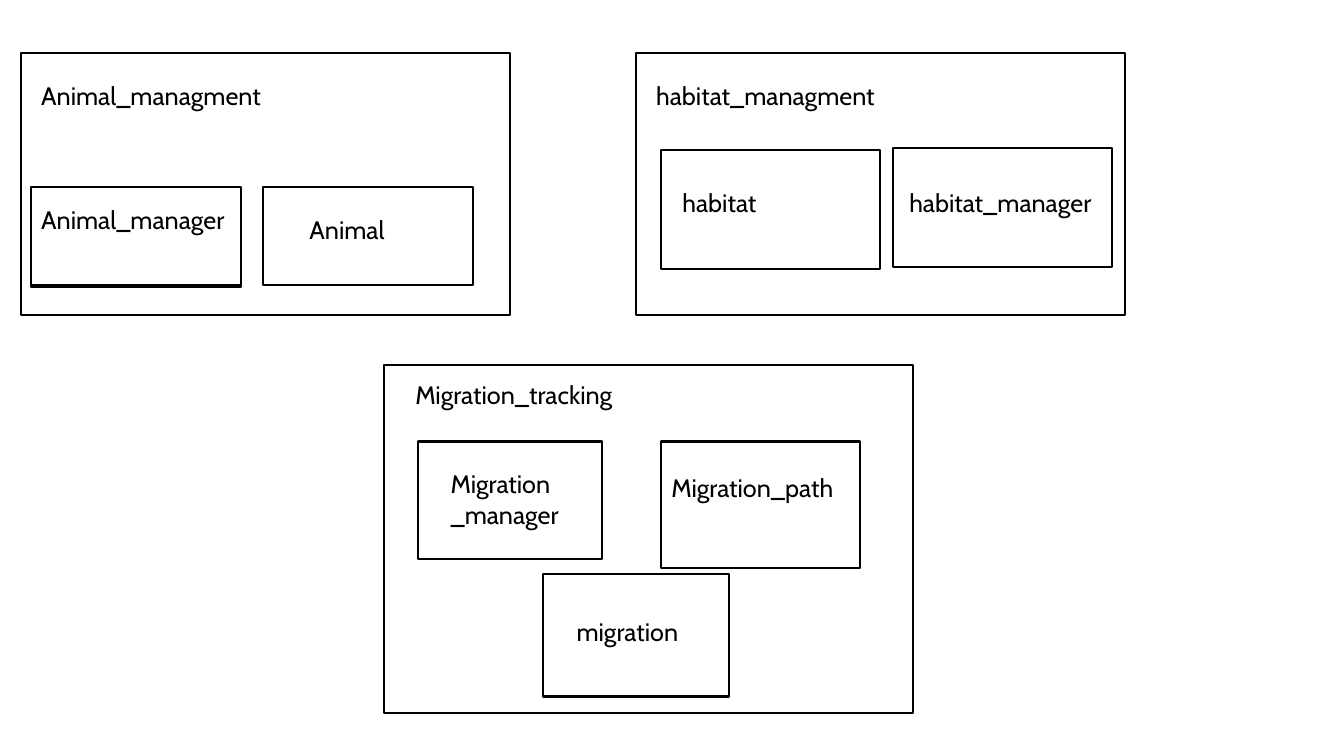
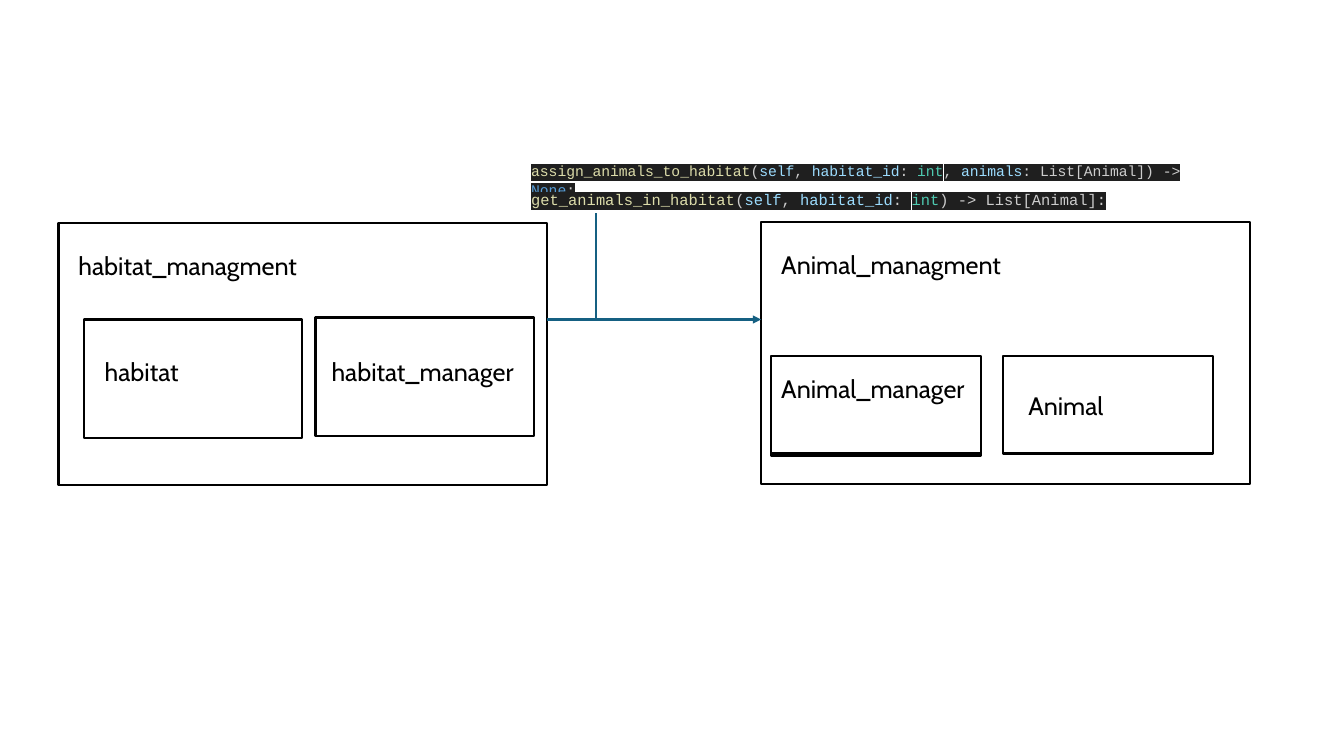
"""Build two slides of module diagrams for an animal tracking system."""
from lxml.etree import SubElement
from pptx import Presentation
from pptx.dml.color import RGBColor
from pptx.enum.shapes import MSO_CONNECTOR, MSO_SHAPE
from pptx.enum.text import MSO_AUTO_SIZE
from pptx.oxml.ns import qn
from pptx.util import Inches, Pt

BLACK, WHITE, BLUE, DARK = "000000", "FFFFFF", "156082", "1F1F1F"
NAME, PLAIN, PARAM, TYPE, CONST = "DCDCAA", "CCCCCC", "9CDCFE", "4EC9B0", "569CD6"
hue = RGBColor.from_string


def add_box(slide, x, y, w, h):
    box = slide.shapes.add_shape(MSO_SHAPE.RECTANGLE, Inches(x), Inches(y), Inches(w), Inches(h))
    box.shadow.inherit = False
    box.fill.solid()
    box.fill.fore_color.rgb = hue(WHITE)
    box.line.color.rgb = hue(BLACK)
    box.line.width = Pt(1.5)


def add_text(slide, x, y, w, h):
    frame = slide.shapes.add_textbox(Inches(x), Inches(y), Inches(w), Inches(h)).text_frame
    frame.word_wrap = True
    frame.auto_size = MSO_AUTO_SIZE.SHAPE_TO_FIT_TEXT
    return frame


animal = {
    "size": (4.85, 2.6),
    "boxes": [(0.1, 1.35, 2.08, 0.97), (2.4, 1.33, 2.08, 0.97), (0.1, 1.33, 2.08, 0.97)],
    "labels": [("Animal_managment", 0.1, 0.22), ("Animal_manager", 0.1, 1.45)],
}
habitat = {
    "size": (4.85, 2.6),
    "boxes": [(0.25, 0.96, 2.17, 1.18), (2.55, 0.94, 2.17, 1.18)],
    "labels": [("habitat_managment", 0.1, 0.22), ("habitat", 0.36, 1.28),
               ("habitat_manager", 2.61, 1.28)],
}
migration = {
    "size": (5.25, 3.45),
    "boxes": [(1.58, 2.07, 1.84, 1.22), (0.34, 0.76, 1.82, 1.17), (2.75, 0.76, 1.97, 1.26)],
    "labels": [("Migration_tracking", 0.21, 0.09), ("migration", 1.81, 2.45),
               ("Migration_path", 2.75, 1.02), ("Migration\n_manager", 0.56, 0.98)],
}
pages = [
    [(animal, 0.21, 0.53, [("Animal", 2.76, 1.55)]), (habitat, 6.31, 0.53, []),
     (migration, 3.81, 3.62, [])],
    [(habitat, 0.58, 2.21, []), (animal, 7.55, 2.2, [("Animal", 2.55, 1.62)])],
]

deck = Presentation()
deck.slide_width, deck.slide_height = Inches(13.33), Inches(7.5)
for page in pages:
    slide = deck.slides.add_slide(deck.slide_layouts[6])
    for module, left, top, extra in page:
        add_box(slide, left, top, *module["size"])
        for x, y, w, h in module["boxes"]:
            add_box(slide, left + x, top + y, w, h)
        for text, x, y in module["labels"] + extra:
            frame = add_text(slide, left + x, top + y, 2.65, 0.4)
            frame.text = text
            for para in frame.paragraphs:
                for run in para.runs:
                    run.font.name = "Cabin"
                    run.font.size = Pt(18)
                    run.font.color.rgb = hue(BLACK)

start = [("(", PLAIN), ("self", PARAM), (", ", PLAIN), ("habitat_id", PARAM),
         (": ", PLAIN), ("int", TYPE)]
calls = [
    (1.54, 7.05, 0.59, 10.5, [("assign_animals_to_habitat", NAME), *start, (", ", PLAIN),
                              ("animals", PARAM), (": List[Animal]) -> ", PLAIN),
                              ("None", CONST), (":", PLAIN)]),
    (1.82, 6.67, 0.29, 11, [("get_animals_in_habitat", NAME), *start,
                            (") -> List[Animal]:", PLAIN)]),
]
for top, width, height, size, parts in calls:
    para = add_text(slide, 5.17, top, width, height).paragraphs[0]
    para.line_spacing = 1.08
    for text, color in parts:
        run = para.add_run()
        run.text = text
        run.font.size = Pt(size)
        run.font.color.rgb = hue(color)
        props = run._r.get_or_add_rPr()
        mark = SubElement(props, qn("a:highlight"))
        SubElement(mark, qn("a:srgbClr")).set("val", DARK)
        run.font.name = "Courier New"

for x1, y1, x2, y2, arrow in [(5.43, 3.17, 7.55, 3.17, True), (5.91, 3.15, 5.91, 2.11, False)]:
    link = slide.shapes.add_connector(
        MSO_CONNECTOR.STRAIGHT, Inches(x1), Inches(y1), Inches(x2), Inches(y2))
    link.line.color.rgb = hue(BLUE)
    link.line.width = Pt(1.5)
    if arrow:
        SubElement(link.line._get_or_add_ln(), qn("a:tailEnd")).set("type", "triangle")
    SubElement(link._element.spPr, qn("a:effectLst"))

deck.save("out.pptx")
